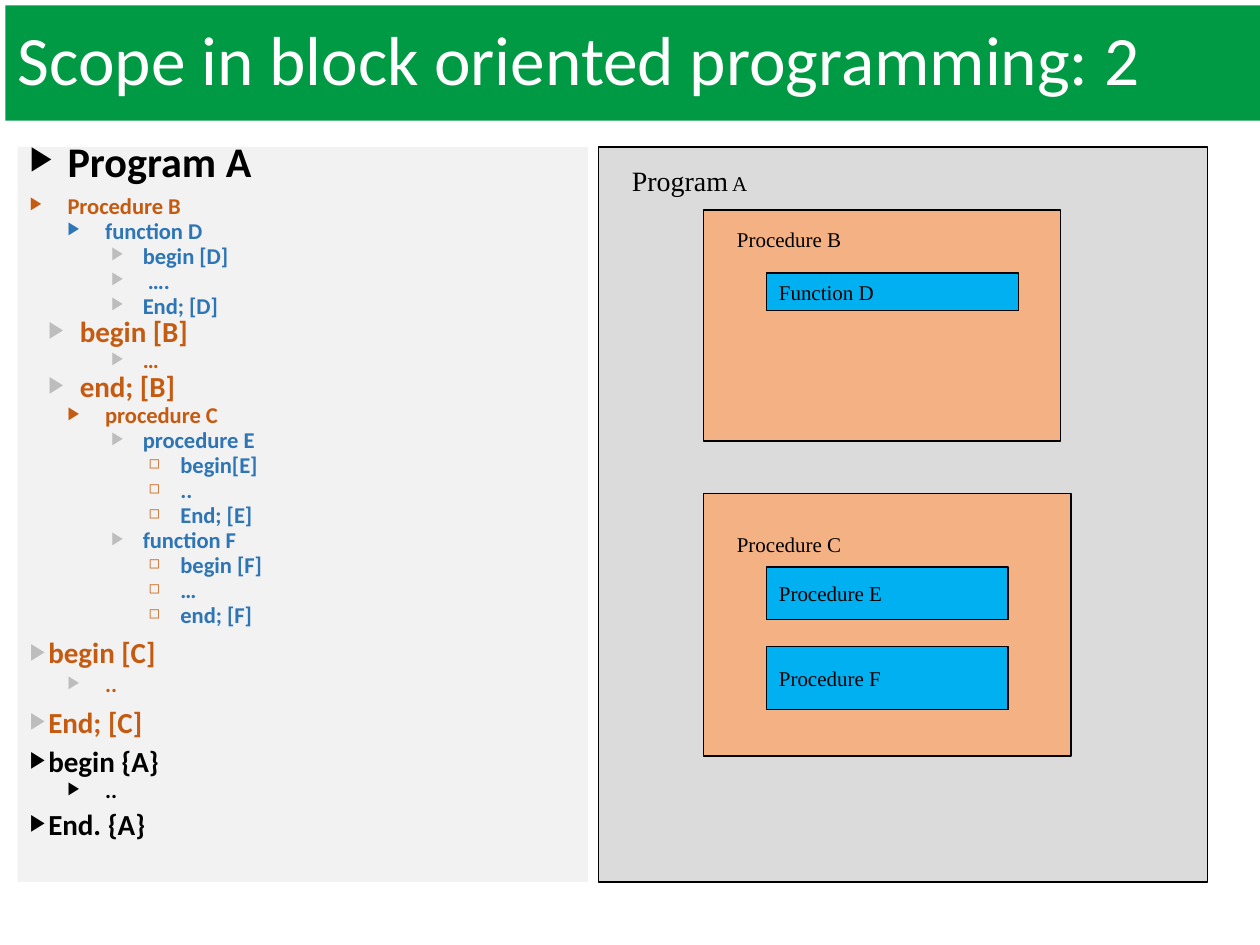
import pptx
import pptx.util
import pptx.dml.color
import pptx.enum.shapes
import pptx.enum.text
import pptx.oxml.ns
import lxml.etree

Pt = pptx.util.Pt
ANCHOR = pptx.enum.text.MSO_ANCHOR
BLACK, WHITE, GREEN = "000000", "FFFFFF", "009A44"
ORANGE, BLUE, RUST, SILVER = "C55A11", "2E75B6", "D16E2B", "BDBDBD"
PALE, GREY, PEACH, SKY = "F2F2F2", "DBDBDB", "F4B183", "00B0F0"
SANS, SERIF = "Calibri", "Times New Roman"
STEP = 21.5  # indent of one outline level


def colour(value):
    return pptx.dml.color.RGBColor.from_string(value)


def add_text(para, text, font=SERIF, size=12, color=BLACK, bold=False):
    span = para.add_run()
    span.text = text
    span.font.name = font
    span.font.size = Pt(size)
    span.font.bold = bold
    span.font.color.rgb = colour(color)


def add_bullet(para, character, color, margin, hang):
    properties = para._p.get_or_add_pPr()
    properties.set("marL", str(Pt(margin)))
    properties.set("indent", str(-Pt(hang)))

    def child(parent, tag, **attributes):
        return lxml.etree.SubElement(parent, pptx.oxml.ns.qn("a:" + tag), attributes)

    child(child(properties, "buClr"), "srgbClr", val=color)
    child(properties, "buSzPct", val="80000")
    child(properties, "buFont", typeface=SANS)
    child(properties, "buChar", char=character)


class Page:
    def __init__(self, deck):
        self.slide = deck.slides.add_slide(deck.slide_layouts[5])

    def title(self, text, left, top, width, height):
        box = self.slide.shapes.title
        box.left, box.top, box.width, box.height = map(Pt, (left, top, width, height))
        box.fill.solid()
        box.fill.fore_color.rgb = colour(GREEN)
        frame = box.text_frame
        frame.vertical_anchor = ANCHOR.MIDDLE
        frame.auto_size = pptx.enum.text.MSO_AUTO_SIZE.NONE
        para = frame.paragraphs[0]
        para.alignment = pptx.enum.text.PP_ALIGN.LEFT
        para.line_spacing = 0.9
        add_text(para, text, font=SANS, size=39.6, color=WHITE)

    def text_box(self, left, top, width, height):
        box = self.slide.shapes.add_textbox(*map(Pt, (left, top, width, height)))
        box.text_frame.word_wrap = True
        return box

    def outline(self, rows, left, top, width, height):
        box = self.text_box(left, top, width, height)
        box.fill.solid()
        box.fill.fore_color.rgb = colour(PALE)
        frame = box.text_frame
        for index, (text, style, color, bullet_color) in enumerate(rows):
            level, margin, hang, size, spacing, bullet = STYLES[style]
            para = frame.add_paragraph() if index else frame.paragraphs[0]
            para.level = level
            add_bullet(para, bullet, bullet_color, margin, hang)
            para.line_spacing = spacing
            if index:
                para.space_before = Pt(5 if level else 10)
            add_text(para, text, font=SANS, size=size, color=color, bold=True)

    def block(self, fill, left, top, width, height, text=None):
        kind = pptx.enum.shapes.MSO_SHAPE.RECTANGLE
        box = self.slide.shapes.add_shape(kind, *map(Pt, (left, top, width, height)))
        box.shadow.inherit = False
        box.fill.solid()
        box.fill.fore_color.rgb = colour(fill)
        box.line.color.rgb = colour(BLACK)
        box.line.width = Pt(0.75)
        if text:
            frame = box.text_frame
            frame.word_wrap = False
            frame.vertical_anchor = ANCHOR.MIDDLE
            frame.paragraphs[0].alignment = pptx.enum.text.PP_ALIGN.LEFT
            add_text(frame.paragraphs[0], text)

    def label(self, spans, left, top, width, height):
        para = self.text_box(left, top, width, height).text_frame.paragraphs[0]
        for text, size in spans:
            add_text(para, text, size=size)


# Outline styles: level, margin, hanging indent, size, line spacing, bullet
STYLES = {
    "heading": (0, STEP, STEP, 24.1, 0.6, "▶"),
    "top": (0, STEP, STEP, 12.9, 0.6, "▶"),
    "second": (1, 2 * STEP, STEP, 12.9, 0.6, "▶"),
    "second loose": (1, 2 * STEP, STEP, 12.9, 0.7, "▶"),
    "third": (2, 3 * STEP, 18, 12.9, 0.6, "▶"),
    "fourth": (3, 4 * STEP, 18, 12.9, 0.6, "◻"),
    "inner": (1, 28.5, 18, 16.6, 0.6, "▶"),
    "outer": (0, 10.5, 10.5, 16.6, 0.6, "▶"),
    "outer loose": (0, 10.5, 10.5, 16.6, 0.7, "▶"),
}

# Program listing: text, style, text colour, bullet colour
LISTING = [
    ("Program A", "heading", BLACK, BLACK),
    ("Procedure B", "top", ORANGE, ORANGE),
    ("function D", "second", BLUE, BLUE),
    ("begin [D]", "third", BLUE, SILVER),
    (" ….", "third", BLUE, SILVER),
    ("End; [D]", "third", BLUE, SILVER),
    ("begin [B]", "inner", ORANGE, SILVER),
    ("…", "third", ORANGE, SILVER),
    ("end; [B]", "inner", ORANGE, SILVER),
    ("procedure C", "second", ORANGE, ORANGE),
    ("procedure E", "third", BLUE, SILVER),
    ("begin[E]", "fourth", BLUE, RUST),
    ("..", "fourth", BLUE, RUST),
    ("End; [E]", "fourth", BLUE, RUST),
    ("function F", "third", BLUE, SILVER),
    ("begin [F]", "fourth", BLUE, RUST),
    ("…", "fourth", BLUE, RUST),
    ("end; [F]", "fourth", BLUE, RUST),
    ("begin [C]", "outer loose", ORANGE, SILVER),
    ("..", "second loose", ORANGE, SILVER),
    ("End; [C]", "outer loose", ORANGE, SILVER),
    ("begin {A}", "outer", BLACK, BLACK),
    ("..", "second", BLACK, BLACK),
    ("End. {A}", "outer", BLACK, BLACK),
]


def main():
    deck = pptx.Presentation()
    deck.slide_width, deck.slide_height = Pt(720), Pt(540)
    page = Page(deck)
    page.title("Scope in block oriented programming: 2", 3, 3, 717, 66)
    page.outline(LISTING, 10, 84, 326, 420)

    # Nested scopes
    page.block(GREY, 342, 84, 348, 420)
    page.block(PEACH, 402, 120, 204, 132)
    page.block(PEACH, 402, 282, 210, 150)
    page.block(SKY, 438, 156, 144, 21.5, "Function D")
    page.block(SKY, 438, 324, 138, 30, "Procedure E")
    page.block(SKY, 438, 369.5, 138, 36, "Procedure F")

    # Scope names
    page.label([("Program", 16), (" A", 12)], 354, 90, 162, 26.5)
    page.label([("Procedure B", 12)], 414, 126, 120, 21.5)
    page.label([("Procedure C", 12)], 414, 300, 108, 21.5)

    deck.save("out.pptx")


if __name__ == "__main__":
    main()
